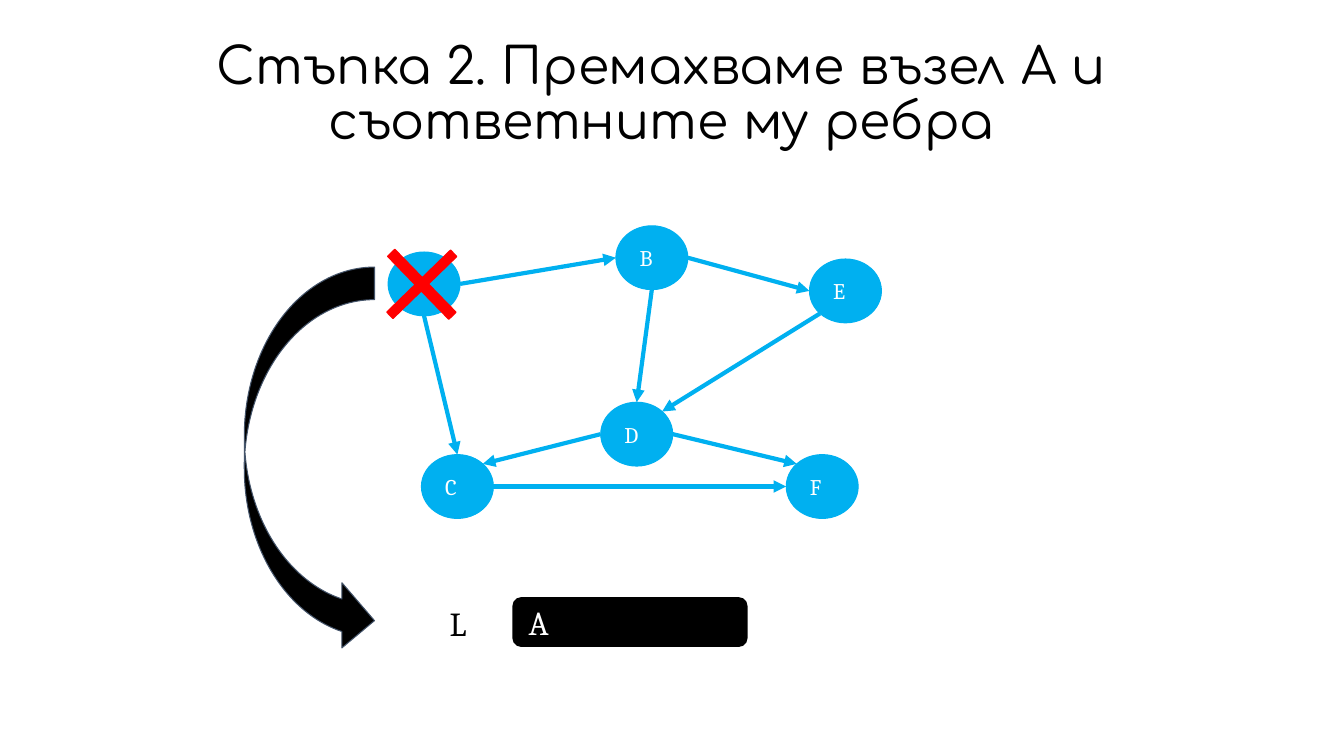
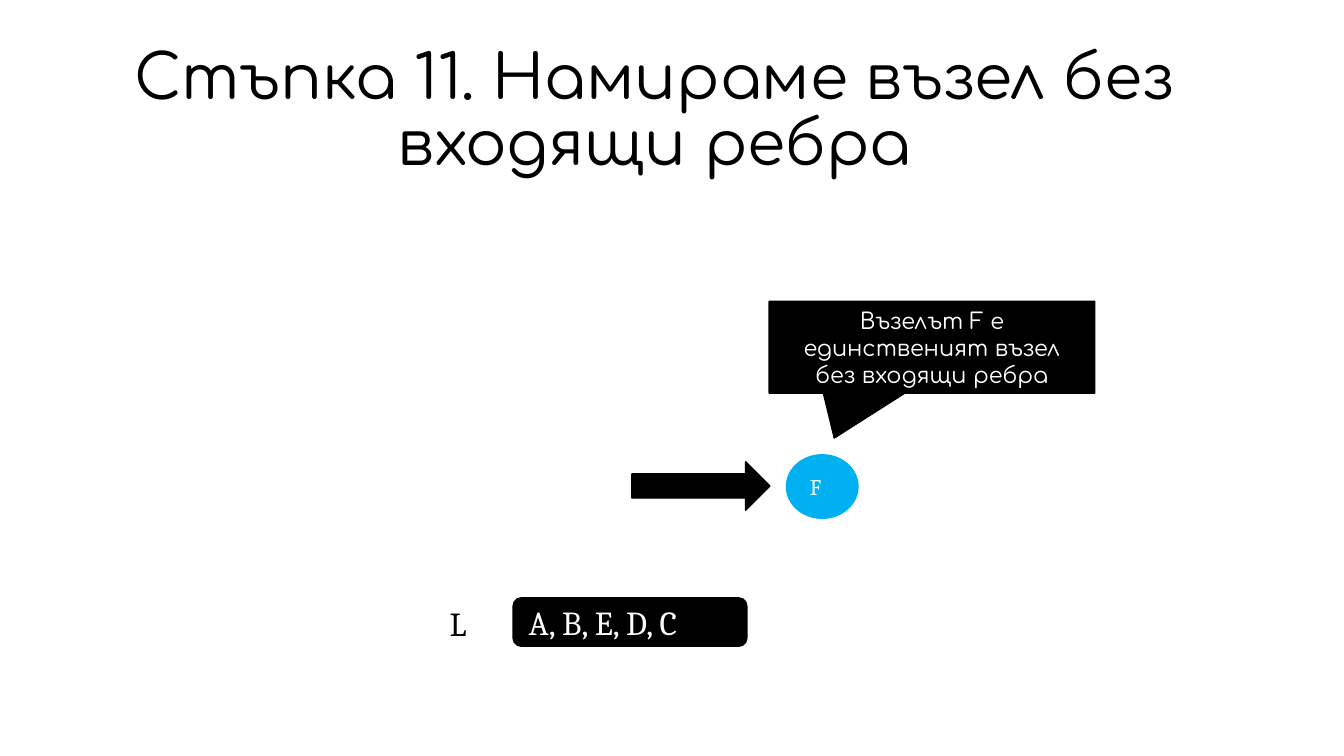
from dataclasses import dataclass
from math import cos, radians, sin

from lxml.etree import SubElement
from pptx import Presentation
from pptx.dml.color import RGBColor
from pptx.enum.shapes import MSO_CONNECTOR, MSO_SHAPE
from pptx.enum.text import MSO_ANCHOR, MSO_AUTO_SIZE, PP_ALIGN
from pptx.oxml.ns import qn
from pptx.util import Pt


@dataclass(frozen=True)
class Theme:
    black: RGBColor = RGBColor(0, 0, 0)
    white: RGBColor = RGBColor(255, 255, 255)
    blue: RGBColor = RGBColor(0x00, 0xB0, 0xF0)
    slate: RGBColor = RGBColor(0x44, 0x54, 0x6A)
    red: RGBColor = RGBColor(255, 0, 0)
    heading_font: str = "Comfortaa"
    label_font: str = "Cambria"
    long_title_size: int = 36
    title_size: int = 44
    list_size: int = 24
    label_size: int = 16
    inset: float = 9.4
    edge_width: float = 3


NODE_WIDTH, NODE_HEIGHT = 51.4, 45.6
TITLE_ONLY = 5

# Left and top of each graph node
NODES = {
    "А": (277.2, 180),
    "B": (439.9, 161.3),
    "E": (578.2, 185),
    "C": (301, 324.7),
    "D": (429.1, 287.3),
    "F": (561.6, 324.7),
}

# Connection sites of an ellipse, counterclockwise from the top
TOP, TOP_LEFT, LEFT, BOTTOM_LEFT, BOTTOM, BOTTOM_RIGHT, RIGHT, TOP_RIGHT = range(8)

EDGES = [
    ("А", RIGHT, "B", LEFT),
    ("А", BOTTOM, "C", TOP),
    ("B", BOTTOM, "D", TOP),
    ("B", RIGHT, "E", LEFT),
    ("E", BOTTOM_LEFT, "D", TOP_RIGHT),
    ("D", RIGHT, "F", TOP_LEFT),
    ("C", RIGHT, "F", LEFT),
    ("D", LEFT, "C", TOP_RIGHT),
]


def site_point(name, site):
    left, top = NODES[name]
    angle = radians(45 * site)
    return (Pt(left + NODE_WIDTH / 2 * (1 - sin(angle))),
            Pt(top + NODE_HEIGHT / 2 * (1 - cos(angle))))


class Deck:
    def __init__(self, theme):
        self.theme = theme
        self.presentation = Presentation()
        self.presentation.slide_width = Pt(960)
        self.presentation.slide_height = Pt(540)
        self.slide = None

    def add_text(self, frame, text, size, color, font, align=PP_ALIGN.LEFT):
        frame.word_wrap = True
        frame.auto_size = MSO_AUTO_SIZE.NONE
        paragraph = frame.paragraphs[0]
        paragraph.alignment = align
        run = paragraph.add_run()
        run.text = text
        run.font.size = Pt(size)
        run.font.name = font
        run.font.color.rgb = color
        return paragraph

    def pad(self, frame):
        frame.margin_left = frame.margin_right = Pt(self.theme.inset)
        frame.margin_top = frame.margin_bottom = Pt(self.theme.inset)

    def titled_slide(self, text, box, size, anchor):
        layout = self.presentation.slide_layouts[TITLE_ONLY]
        self.slide = self.presentation.slides.add_slide(layout)
        title = self.slide.shapes.title
        title.left, title.top, title.width, title.height = map(Pt, box)
        title.text_frame.vertical_anchor = anchor
        paragraph = self.add_text(title.text_frame, text, size, self.theme.black,
                                  self.theme.heading_font, PP_ALIGN.CENTER)
        paragraph.line_spacing = 0.9

    def shape(self, kind, box, fill, line=None, line_width=1, adjustments=()):
        shape = self.slide.shapes.add_shape(kind, *map(Pt, box))
        shape.shadow.inherit = False
        shape.fill.solid()
        shape.fill.fore_color.rgb = fill
        shape.line.color.rgb = line or fill
        shape.line.width = Pt(line_width)
        for index, value in enumerate(adjustments):
            shape.adjustments[index] = value
        return shape

    def label(self, shape, text, size, font=None, align=PP_ALIGN.LEFT):
        frame = shape.text_frame
        frame.vertical_anchor = MSO_ANCHOR.MIDDLE
        self.pad(frame)
        self.add_text(frame, text, size, self.theme.white,
                      font or self.theme.label_font, align)

    def node(self, name):
        box = (*NODES[name], NODE_WIDTH, NODE_HEIGHT)
        node = self.shape(MSO_SHAPE.OVAL, box, self.theme.blue, line_width=0.75)
        self.label(node, name, self.theme.label_size)
        return node

    def edge(self, nodes, source, source_site, target, target_site):
        """Draw an arrow and join it to the sites of both ellipses."""
        edge = self.slide.shapes.add_connector(
            MSO_CONNECTOR.STRAIGHT,
            *site_point(source, source_site), *site_point(target, target_site))
        edge.line.color.rgb = self.theme.blue
        edge.line.width = Pt(self.theme.edge_width)
        properties = edge.element.spPr
        SubElement(properties.find(qn("a:ln")), qn("a:tailEnd"), type="triangle")
        SubElement(properties, qn("a:effectLst"))
        joints = edge.element.find(".//" + qn("p:cNvCxnSpPr"))
        for tag, name, site in (("a:stCxn", source, source_site),
                                ("a:endCxn", target, target_site)):
            SubElement(joints, qn(tag), id=str(nodes[name].shape_id), idx=str(site))

    def graph(self):
        nodes = {name: self.node(name) for name in NODES}
        for edge in EDGES:
            self.edge(nodes, *edge)

    def result_list(self, visited):
        caption = self.slide.shapes.add_textbox(Pt(311.8), Pt(421.2), Pt(29.5), Pt(45.4))
        self.pad(caption.text_frame)
        self.add_text(caption.text_frame, "L", self.theme.list_size,
                      self.theme.black, self.theme.label_font)
        row = self.shape(MSO_SHAPE.ROUNDED_RECTANGLE, (366.5, 427, 167, 34.6),
                         self.theme.black, adjustments=[0.17])
        self.label(row, visited, self.theme.list_size)

    def move_arrow(self):
        self.shape(MSO_SHAPE.CURVED_RIGHT_ARROW, (174.5, 190.8, 93, 275.8),
                   self.theme.black, self.theme.slate, 0.75, [0.25, 0.5, 0.25])

    def removal_cross(self):
        cross = self.shape(MSO_SHAPE.CROSS, (270, 171.4, 62.6, 63.4),
                           self.theme.red, adjustments=[0.45])
        cross.rotation = 45.8

    def callout(self, text):
        callout = self.shape(MSO_SHAPE.RECTANGULAR_CALLOUT, (549.4, 215.3, 232.6, 65.5),
                             self.theme.black, adjustments=[-0.3, 0.99])
        self.label(callout, text, self.theme.label_size,
                   self.theme.heading_font, PP_ALIGN.CENTER)

    def pointer(self):
        self.shape(MSO_SHAPE.RIGHT_ARROW, (451.4, 329.8, 98.6, 34.6),
                   self.theme.black, adjustments=[0.5, 0.5])


def main():
    theme = Theme()
    deck = Deck(theme)

    deck.titled_slide("Стъпка 2. Премахваме възел А и съответните му ребра",
                      (7.2, 0, 930.2, 110.9), theme.long_title_size, MSO_ANCHOR.BOTTOM)
    deck.graph()
    deck.result_list("A")
    deck.move_arrow()
    deck.removal_cross()

    deck.titled_slide("Стъпка 11. Намираме възел без входящи ребра",
                      (17.3, 36.7, 900.7, 87.1), theme.title_size, MSO_ANCHOR.MIDDLE)
    deck.node("F")
    deck.result_list("A, B, E, D, C")
    deck.callout("Възелът F е единственият възел без входящи ребра")
    deck.pointer()

    deck.presentation.save("out.pptx")


if __name__ == "__main__":
    main()
